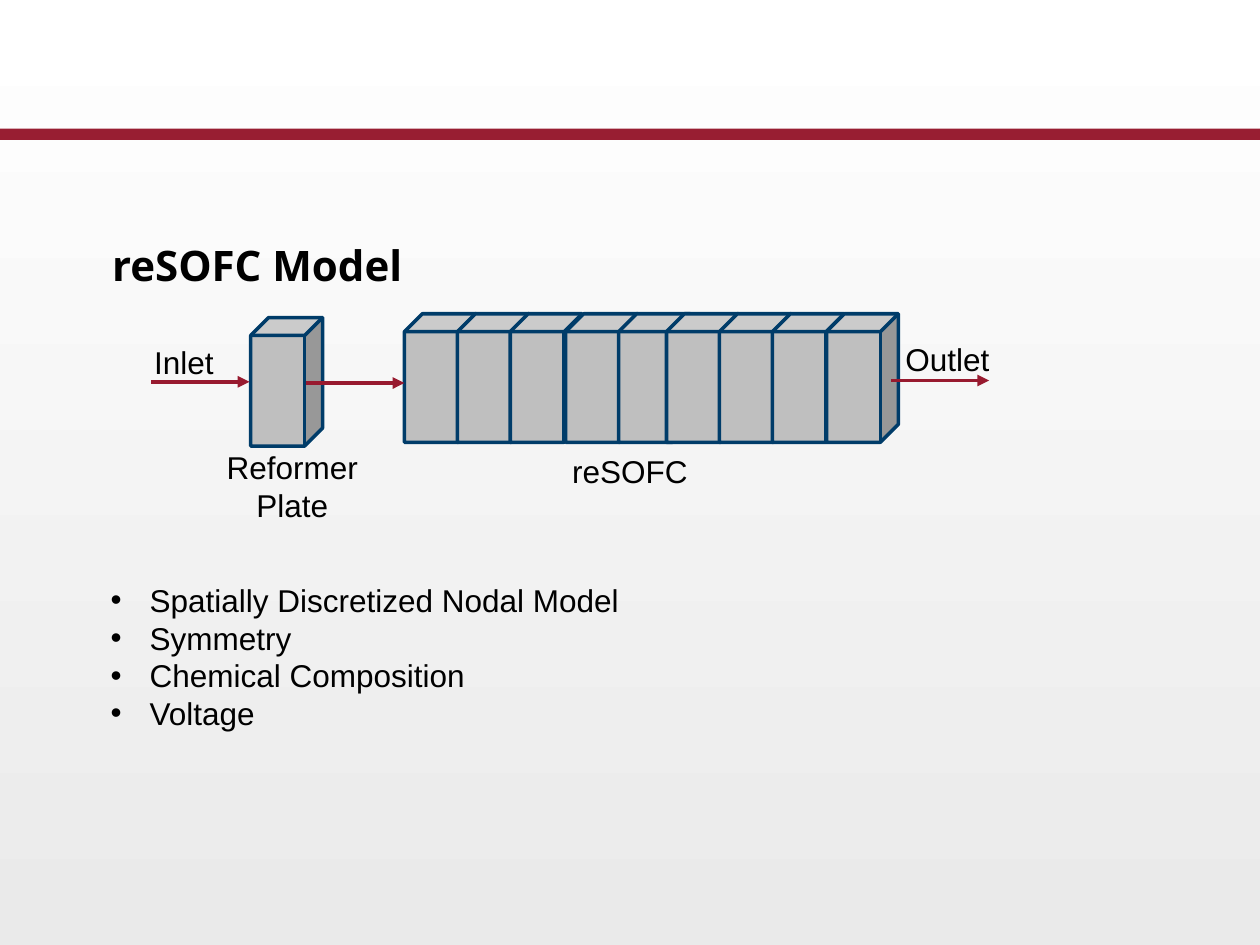
from dataclasses import dataclass

from lxml.etree import SubElement
from pptx import Presentation
from pptx.dml.color import RGBColor as RGB
from pptx.enum.shapes import MSO_CONNECTOR as Connector, MSO_SHAPE as Shape
from pptx.enum.text import MSO_ANCHOR as Anchor, PP_ALIGN as Align
from pptx.oxml.ns import qn
from pptx.util import Inches, Pt


@dataclass(frozen=True)
class Theme:
    ink: RGB = RGB(0, 0, 0)
    band: RGB = RGB(0x98, 0x1E, 0x32)
    arrow: RGB = RGB(0x98, 0x1A, 0x2F)
    cell: RGB = RGB(0xBF, 0xBF, 0xBF)
    edge: RGB = RGB(0x00, 0x3C, 0x69)
    page_bottom: RGB = RGB(0xEA, 0xEA, 0xEA)
    page_top: RGB = RGB(0xFF, 0xFF, 0xFF)
    title_font: str = "Open Sans"
    body_font: str = "Arial"
    title_size: int = 24
    body_size: int = 18


def add_text(para, text, *, font, size, color, bold=False):
    span = para.add_run()
    span.text = text
    span.font.name = font
    span.font.size = Pt(size)
    span.font.bold = bold
    span.font.color.rgb = color


class PageBuilder:
    def __init__(self, page, theme):
        self.page = page
        self.theme = theme

    def background(self):
        fill = self.page.background.fill
        fill.gradient()
        fill.gradient_angle = 90
        colors = (self.theme.page_bottom, self.theme.page_top)
        for stop, color, position in zip(fill.gradient_stops, colors, (0, 1)):
            stop.color.rgb = color
            stop.position = position

    def shape(self, kind, left, top, width, height, fill, edge=None):
        shape = self.page.shapes.add_shape(
            kind, Inches(left), Inches(top), Inches(width), Inches(height))
        shape.shadow.inherit = False
        shape.fill.solid()
        shape.fill.fore_color.rgb = fill
        if edge is None:
            shape.line.fill.background()
        else:
            shape.line.color.rgb = edge
            shape.line.width = Pt(2)

    def cube(self, left, top):
        self.shape(Shape.CUBE, left, top, 0.57, 1.02, self.theme.cell, self.theme.edge)

    def text_frame(self, left, top, width, height):
        box = self.page.shapes.add_textbox(
            Inches(left), Inches(top), Inches(width), Inches(height))
        box.text_frame.word_wrap = True
        return box.text_frame

    def body_text(self, para, text):
        add_text(para, text, font=self.theme.body_font,
                 size=self.theme.body_size, color=self.theme.ink)

    def title(self, text, left, top, width, height):
        frame = self.text_frame(left, top, width, height)
        frame.margin_left = frame.margin_right = Inches(0.5)
        frame.vertical_anchor = Anchor.BOTTOM
        para = frame.paragraphs[0]
        para.line_spacing = Pt(24)
        add_text(para, text, font=self.theme.title_font,
                 size=self.theme.title_size, color=self.theme.ink, bold=True)

    def label(self, text, left, top, height=0.4):
        para = self.text_frame(left, top, 1.36, height).paragraphs[0]
        para.alignment = Align.CENTER
        self.body_text(para, text)

    def bullets(self, items, left, top, width, height):
        frame = self.text_frame(left, top, width, height)
        for index, item in enumerate(items):
            para = frame.add_paragraph() if index else frame.paragraphs[0]
            props = para._p.get_or_add_pPr()
            indent = Inches(0.31)
            props.set("marL", str(indent))
            props.set("indent", str(-indent))
            SubElement(props, qn("a:buFont"), typeface=self.theme.body_font)
            SubElement(props, qn("a:buChar"), char="•")
            self.body_text(para, item)

    def arrow(self, left, y, length=0.78):
        line = self.page.shapes.add_connector(
            Connector.STRAIGHT, Inches(left), Inches(y), Inches(left + length), Inches(y))
        line.line.color.rgb = self.theme.arrow
        line.line.width = Pt(2.25)
        SubElement(line.line._get_or_add_ln(), qn("a:tailEnd"), type="triangle")
        SubElement(line._element.spPr, qn("a:effectLst"))


def main():
    deck = Presentation()
    deck.slide_width, deck.slide_height = Inches(10), Inches(7.5)
    theme = Theme()
    builder = PageBuilder(deck.slides.add_slide(deck.slide_layouts[6]), theme)

    # Background, band and title
    builder.background()
    builder.shape(Shape.RECTANGLE, 0, 1.02, 10.02, 0.09, theme.band)
    builder.title("reSOFC Model", 0.39, 1.91, 9.22, 0.44)

    # Fuel cell nodes, each overlapping the one before
    for left in (3.21, 3.63, 4.05, 4.49, 4.91, 5.29, 5.71, 6.13, 6.56):
        builder.cube(left, 2.49)

    # Model features
    builder.bullets(
        ["Spatially Discretized Nodal Model", "Symmetry", "Chemical Composition", "Voltage"],
        0.78, 4.56, 4.7, 1.31)

    # Reformer plate
    builder.cube(1.99, 2.52)

    # Flow from inlet to outlet
    for left, y in ((1.2, 3.03), (2.43, 3.04), (7.07, 3.02)):
        builder.arrow(left, y)

    # Labels
    builder.label("Reformer Plate", 1.64, 3.51, height=0.71)
    builder.label("reSOFC", 4.32, 3.54)
    builder.label("Inlet", 0.78, 2.67)
    builder.label("Outlet", 6.84, 2.65)

    deck.save("out.pptx")


if __name__ == "__main__":
    main()
